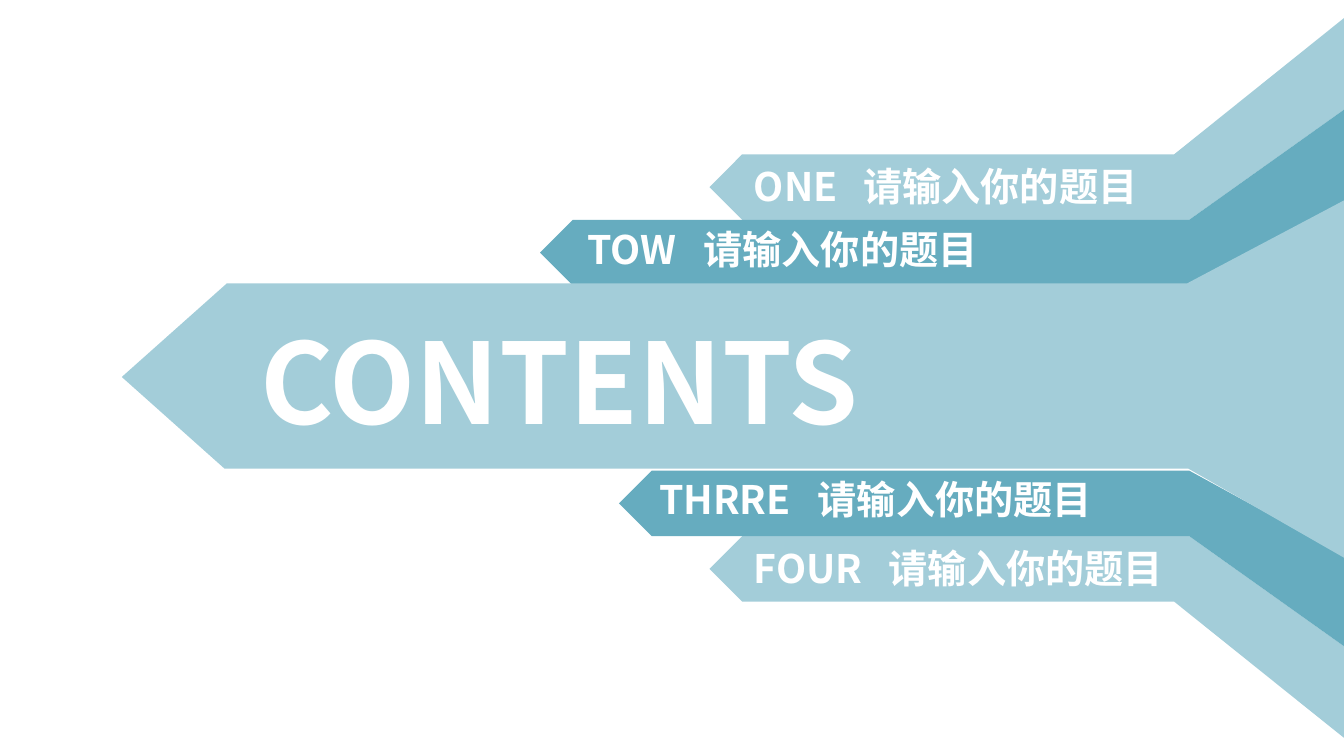
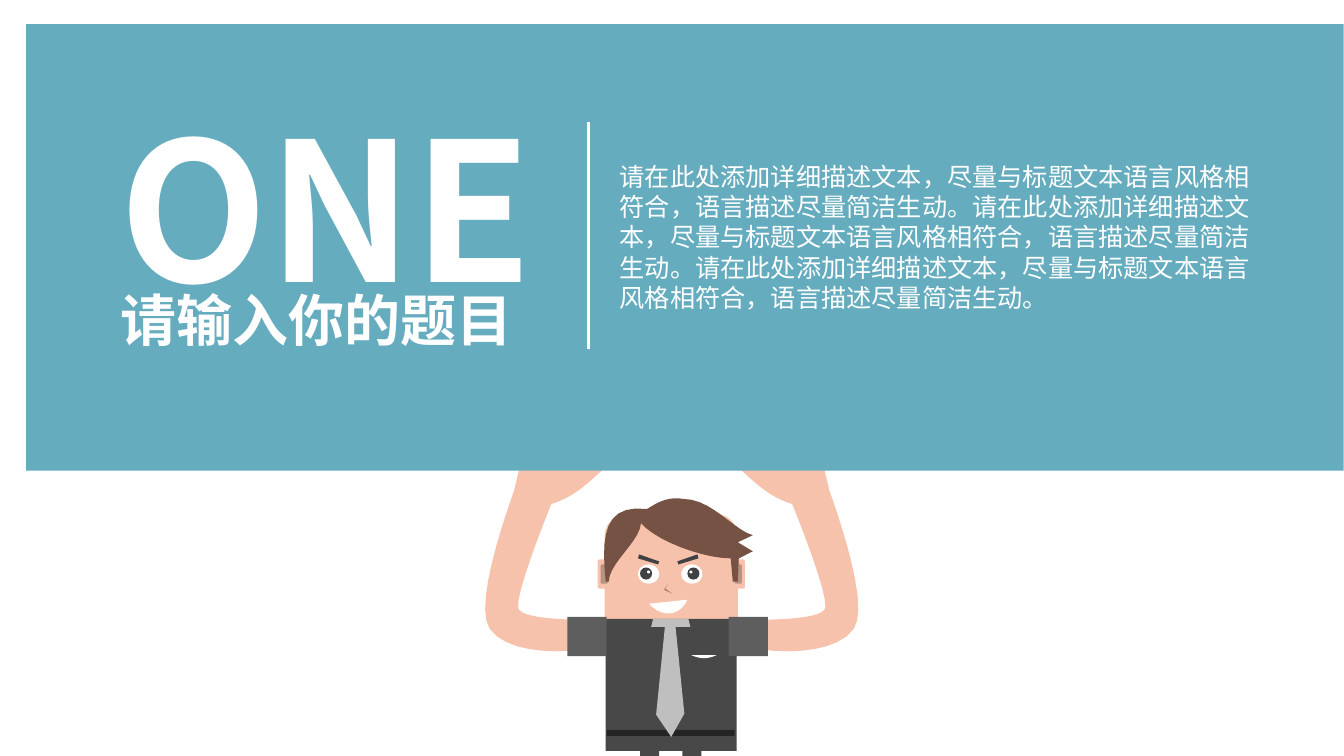
import lxml.etree
import pptx
import pptx.dml.color
import pptx.enum.shapes
import pptx.enum.text
import pptx.oxml.ns
import pptx.util

Cm = pptx.util.Cm
Pt = pptx.util.Pt
SHAPE = pptx.enum.shapes.MSO_SHAPE

SLIDE_W, SLIDE_H = 33.87, 19.05
FONT = "Noto Sans CJK SC"
COLORS = {
    "white": "FFFFFF", "pale": "A3CDD9", "teal": "66ACBF",
    "skin": "F7C2AB", "ear": "B99280", "nose": "A46D5B", "hair": "755243",
    "ink": "414042", "shirt": "484848", "sleeve": "5E5E5E",
    "belt": "242424", "tie": "BFBFBF",
}

# Slide 1, in centimetres
RIBBON_EDGE = 34.44
# colour, bend, top, bottom, top and bottom at the edge, upper and lower tip
RIBBON_PAIRS = [
    ("pale", 29.59, 3.89, 5.54, 0, 2.36, 17.88, 17.88),
    ("teal", 29.97, 5.54, 7.19, 2.36, 4.75, 13.61, 15.6),
]
TITLE_RIBBON = [(3.07, 9.5), (5.72, 7.14), (29.92, 7.14), (RIBBON_EDGE, 4.75),
                (RIBBON_EDGE, 14.38), (29.95, 11.81), (5.66, 11.81)]
TOPIC = "请输入你的题目"
# number, left, top, width, tab stop
ENTRIES = [
    ("TOW", 14.55, 5.56, 10.57, 2.93),
    ("THRRE", 16.36, 11.84, 11.51, 4),
    ("ONE", 18.75, 3.96, 10.31, 2.76),
    ("FOUR", 18.75, 13.59, 10.92, 3.4),
]

# Slide 2
DESCRIPTION = "请在此处添加详细描述文本，尽量与标题文本语言风格相符合，语言描述尽量简洁生动。" * 3

# The man is drawn on a grid of 100 units to 2.54 cm.
GRID = 2.54 / 100
CURVE_STEPS = 10
# In an outline a pair is a corner; six numbers are a Bézier curve's
# two handles and end.
HAIR = [(636, 519), (650, 536, 697, 554, 725, 554), (727, 577), (732, 577), (733, 554),
        (747, 547), (732, 538), (747, 531), (728, 526, 706, 495, 678, 495),
        (662, 492, 650, 500, 642, 505), (600, 500, 596, 530, 601, 577), (604, 577),
        (604, 559, 635, 537, 636, 519)]
ARM = [(510, 487), (500, 515, 470, 602, 486, 624), (507, 653, 572, 645, 572, 645),
       (575, 615), (545, 614, 514, 612, 514, 602), (513, 583, 547, 500, 547, 500),
       (566, 494, 578, 485, 600, 464), (516, 462)]
# preset shape or None, colour, box or outline, sum of x and its mirrored x
MAN = [
    (SHAPE.RECTANGLE, "shirt", (635, 740, 19, 96), 1331),
    (SHAPE.ROUNDED_RECTANGLE, "skin", (600, 510, 132, 130), None),
    (SHAPE.RECTANGLE, "shirt", (601, 614, 130, 131), None),
    (SHAPE.TRAPEZOID, "tie", (646, 614, 39, 8), None),
    (SHAPE.ROUNDED_RECTANGLE, "skin", (727, 555, 12, 29), 1332),
    (SHAPE.ROUNDED_RECTANGLE, "ear", (729, 560, 7, 19), 1332),
    (SHAPE.OVAL, "white", (676, 560, 21, 19), 1330),
    (SHAPE.OVAL, "ink", (682, 563, 12, 12), 1329),
    (SHAPE.OVAL, "white", (684, 566, 3, 3), 1329),
    (None, "ink", [(673, 560), (672, 557), (692, 550), (693, 554)], 1326),
    (None, "nose", [(663, 579), (660, 584), (667, 589), (659, 585)], None),
    (None, "white", [(644, 599), (655, 612, 674, 613, 682, 595)], None),
    (SHAPE.RECTANGLE, "belt", (602, 724, 127, 6), None),
    (None, "tie", [(660, 619), (651, 709), (666, 731), (679, 708), (670, 619)], None),
    (None, "white", [(686, 650), (695, 654, 702, 654, 711, 650)], None),
    (None, "hair", HAIR, None),
    (None, "skin", ARM, 1333),
    (SHAPE.RECTANGLE, "sleeve", (563, 612, 39, 39), 1325),
]


def rgb(color):
    return pptx.dml.color.RGBColor.from_string(COLORS[color])


def paint(shape, color):
    shape.shadow.inherit = False
    shape.fill.solid()
    shape.fill.fore_color.rgb = rgb(color)
    shape.line.fill.background()


def add_outline(shapes, color, points):
    """Draw a filled polygon from points in centimetres."""
    corners = [(Cm(x), Cm(y)) for x, y in points]
    builder = shapes.build_freeform(*corners[0])
    builder.add_line_segments(corners[1:], close=True)
    paint(builder.convert_to_shape(), color)


def flatten(outline):
    """Replace the Bézier curves of an outline with short straight steps."""
    points = []
    for step in outline:
        if len(step) == 2:
            points.append(step)
            continue
        x0, y0 = points[-1]
        x1, y1, x2, y2, x3, y3 = step
        for i in range(1, CURVE_STEPS + 1):
            t = i / CURVE_STEPS
            a, b, c, d = (1 - t) ** 3, 3 * t * (1 - t) ** 2, 3 * t * t * (1 - t), t ** 3
            points.append((a * x0 + b * x1 + c * x2 + d * x3,
                           a * y0 + b * y1 + c * y2 + d * y3))
    return points


def add_text(slide, text, box, size, bold=True, wrap=True, align=None, tab=None):
    frame = slide.shapes.add_textbox(*map(Cm, box)).text_frame
    frame.word_wrap = wrap
    frame.auto_size = pptx.enum.text.MSO_AUTO_SIZE.SHAPE_TO_FIT_TEXT
    frame.text = text
    paragraph = frame.paragraphs[0]
    if align is not None:
        paragraph.alignment = align
    qn = pptx.oxml.ns.qn
    if tab:
        stops = lxml.etree.SubElement(paragraph._p.get_or_add_pPr(), qn("a:tabLst"))
        lxml.etree.SubElement(stops, qn("a:tab"), pos=str(Cm(tab)), algn="l")
    for run in paragraph.runs:
        run.font.size = Pt(size)
        run.font.bold = bold
        run.font.color.rgb = rgb("white")
        run.font.name = FONT
        lxml.etree.SubElement(run._r.get_or_add_rPr(), qn("a:ea"), typeface=FONT)


def ribbon(tip, bend, top, bottom, edge_top, edge_bottom):
    half = (bottom - top) / 2
    return [(tip, top + half), (tip + half, top), (bend, top), (RIBBON_EDGE, edge_top),
            (RIBBON_EDGE, edge_bottom), (29.97, bottom), (tip + half, bottom)]


def add_man(slide):
    shapes = slide.shapes.add_group_shape().shapes
    for preset, color, form, mirror in MAN:
        if preset is None:
            points = [(x * GRID, y * GRID) for x, y in flatten(form)]
            add_outline(shapes, color, points)
            if mirror:
                add_outline(shapes, color, [(mirror * GRID - x, y) for x, y in points])
            continue
        left, top, width, height = form
        for x in (left, mirror - left - width) if mirror else (left,):
            box = [Cm(v * GRID) for v in (x, top, width, height)]
            paint(shapes.add_shape(preset, *box), color)


def build_contents(slide):
    for color, *band, upper_tip, lower_tip in RIBBON_PAIRS:
        add_outline(slide.shapes, color, ribbon(upper_tip, *band))
        add_outline(slide.shapes, color,
                    [(x, SLIDE_H - y) for x, y in ribbon(lower_tip, *band)])
    add_outline(slide.shapes, "pale", TITLE_RIBBON)
    add_text(slide, "CONTENTS", (6.32, 7.75, 16.46, 3.68), 80, wrap=False)
    for number, left, top, width, tab in ENTRIES:
        add_text(slide, f"{number}\t{TOPIC}", (left, top, width, 1.45), 28, tab=tab)


def build_section(slide):
    add_man(slide)
    panel = slide.shapes.add_shape(SHAPE.RECTANGLE, Cm(0.66), Cm(0.61), Cm(33.2), Cm(11.25))
    paint(panel, "teal")
    divider = slide.shapes.add_connector(
        pptx.enum.shapes.MSO_CONNECTOR.STRAIGHT, Cm(14.83), Cm(3.07), Cm(14.83), Cm(8.79))
    divider.line.color.rgb = rgb("white")
    divider.line.width = Pt(2.25)
    lxml.etree.SubElement(divider._element.spPr, pptx.oxml.ns.qn("a:effectLst"))
    add_text(slide, "ONE", (2.77, 2.13, 11.51, 6.15), 138, wrap=False)
    add_text(slide, TOPIC, (2.79, 7.06, 11.48, 1.96), 40,
             align=pptx.enum.text.PP_ALIGN.JUSTIFY)
    add_text(slide, DESCRIPTION, (15.37, 3.94, 16.94, 4.11), 18, bold=False)


def main():
    deck = pptx.Presentation()
    deck.slide_width, deck.slide_height = Cm(SLIDE_W), Cm(SLIDE_H)
    for build in (build_contents, build_section):
        build(deck.slides.add_slide(deck.slide_layouts[6]))
    deck.save("out.pptx")


if __name__ == "__main__":
    main()
